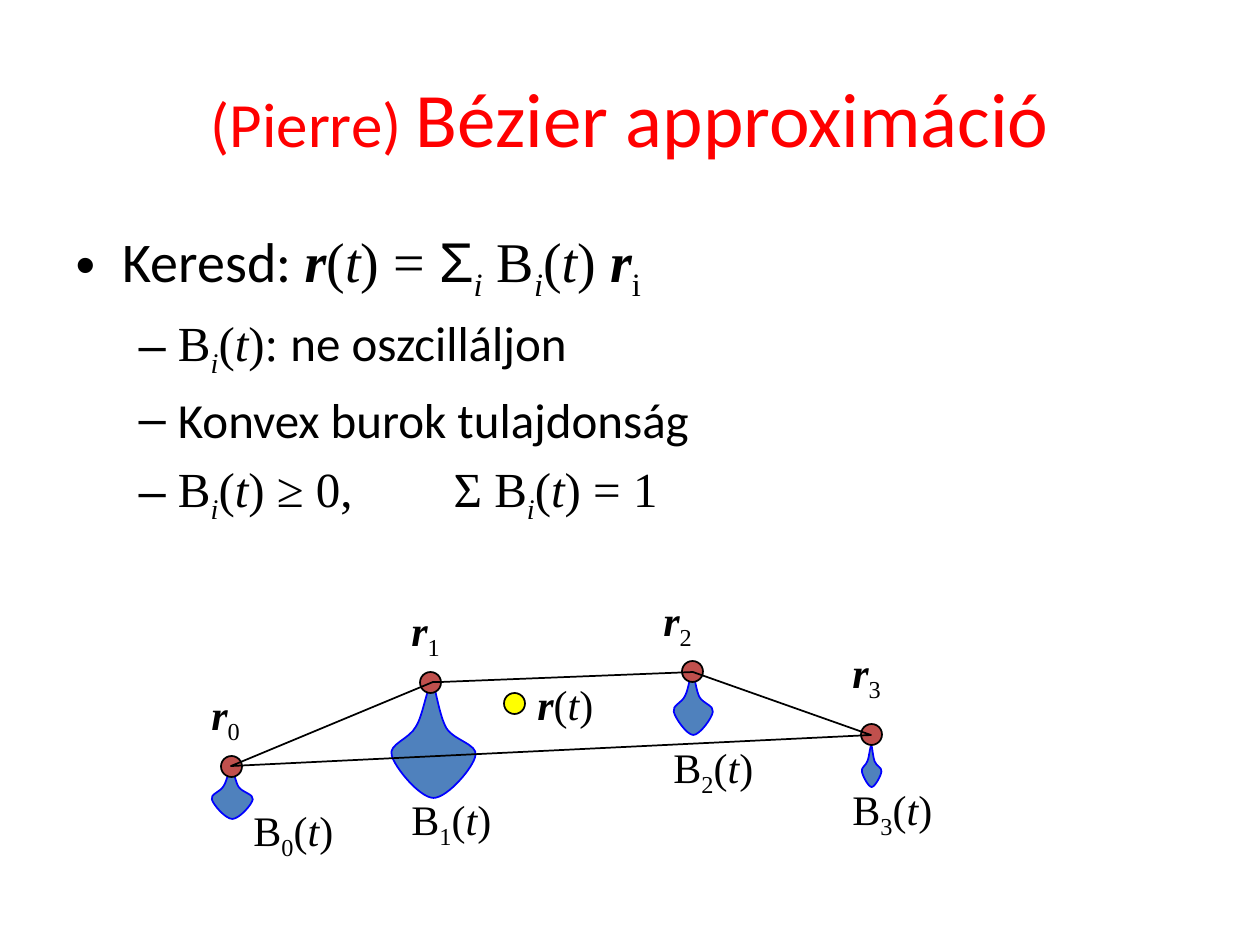
from lxml import etree
from pptx import Presentation
from pptx.dml.color import RGBColor
from pptx.enum.shapes import MSO_SHAPE
from pptx.enum.text import MSO_ANCHOR, MSO_AUTO_SIZE, PP_ALIGN
from pptx.oxml.ns import qn
from pptx.util import Pt

OVAL = MSO_SHAPE.OVAL
CENTER = PP_ALIGN.CENTER
MIDDLE = MSO_ANCHOR.MIDDLE
GROW, FIXED = MSO_AUTO_SIZE.SHAPE_TO_FIT_TEXT, MSO_AUTO_SIZE.NONE
PX = 914400 / 126
SANS, SERIF, SYMBOL = "Calibri", "Times New Roman", "Arial"
BLACK, RED, BLUE = "000000", "FF0000", "0000FF"

# Weight drop in thousandths of its box: a start, then three points per cubic
DROP = [
    (500, 0),
    (437, 0), (394, 283), (310, 380),
    (239, 489), (0, 533), (42, 630),
    (70, 728), (352, 1000), (507, 1000),
    (662, 1000), (958, 728), (972, 630),
    (1000, 533), (732, 500), (648, 391),
    (577, 293), (535, 76), (500, 0),
]


def px(value):
    return round(value * PX)


def color(code):
    return RGBColor.from_string(code)


def add_span(para, text, size, font=SERIF, code=BLACK, marks=""):
    """Add a run; marks holds b (bold), i (italic) and s (subscript)."""
    span = para.add_run()
    span.text = text
    span.font.name, span.font.size = font, Pt(size)
    span.font.color.rgb = color(code)
    span.font.bold, span.font.italic = "b" in marks, "i" in marks
    if "s" in marks:
        span.font._element.set("baseline", "-25000")


def of_t(tail=""):
    return [("(", ""), ("t", "i"), (")" + tail, "")]


def basis(index, marks="s", lead="", tail=""):
    """Spans of the basis function B_index(t)."""
    return [(lead + "B", ""), (index, marks), *of_t(tail)]


def any_basis(lead="", tail=""):
    return basis("i", "is", lead, tail)


class Page:
    label_size = 24
    dot_size = 21

    def __init__(self, deck):
        self.slide = deck.slides.add_slide(deck.slide_layouts[1])
        self.shapes = self.slide.shapes

    def place(self, box, left, top, width, height):
        box.left, box.top, box.width, box.height = map(px, (left, top, width, height))

    def paint(self, shape, line, fill=None):
        shape.shadow.inherit = False
        if fill:
            shape.fill.solid()
            shape.fill.fore_color.rgb = color(fill)
        else:
            shape.fill.background()
        shape.line.color.rgb = color(line)
        shape.line.width = Pt(1)

    def title(self, spans, *bounds):
        box = self.shapes.title
        self.place(box, *bounds)
        box.text_frame.vertical_anchor = MIDDLE
        para = box.text_frame.paragraphs[0]
        para.alignment = CENTER
        for text, size in spans:
            add_span(para, text, size, font=SANS, code=RED)

    def bullets(self, items, *bounds):
        box = self.slide.placeholders[1]
        self.place(box, *bounds)
        frame = box.text_frame
        frame.auto_size = FIXED
        for number, (level, spans) in enumerate(items):
            para = frame.add_paragraph() if number else frame.paragraphs[0]
            para.level = level
            # Tab stops one inch apart
            para._p.get_or_add_pPr().set("defTabSz", "914400")
            for text, marks, *font in spans:
                add_span(para, text, 28 if level else 32, *font, marks=marks)

    def outline(self, points, line, fill=None):
        (x, y), *rest = [(px(x), px(y)) for x, y in points]
        builder = self.shapes.build_freeform(x, y, scale=1.0)
        builder.add_line_segments(rest, close=True)
        shape = builder.convert_to_shape()
        self.paint(shape, line, fill)
        return shape

    def drop(self, left, top, width, height):
        points = [(left + x * width / 1000, top + y * height / 1000) for x, y in DROP]
        shape = self.outline(points, BLUE, "4F81BD")
        # Join every three line segments into one cubic curve
        segments = list(shape._element.iter(qn("a:lnTo")))[:len(DROP) - 1]
        for start in range(0, len(segments), 3):
            curve = etree.Element(qn("a:cubicBezTo"))
            segments[start].addprevious(curve)
            for segment in segments[start:start + 3]:
                curve.append(segment[0])
                segment.getparent().remove(segment)

    def dot(self, left, top, fill):
        size = px(self.dot_size)
        self.paint(self.shapes.add_shape(OVAL, px(left), px(top), size, size), BLACK, fill)

    def label(self, spans, left, top, width):
        box = self.shapes.add_textbox(px(left), px(top), px(width), px(63))
        frame = box.text_frame
        frame.word_wrap = False
        frame.auto_size = GROW
        for text, marks in spans:
            add_span(frame.paragraphs[0], text, self.label_size, marks=marks)


def main():
    deck = Presentation()
    deck.slide_width, deck.slide_height = px(1260), px(945)
    page = Page(deck)

    # Title and list
    page.title([("(Pierre) ", 36), ("Bézier approximáció", 44)], 63, 38, 1134, 157)
    page.bullets([
        (0, [("Keresd: ", "", SANS), ("r", "bi"), ("(", ""), ("t", "i"), (") = ", ""),
             ("Σ", "", SYMBOL), ("i", "is"), *any_basis(lead=" ", tail=" "),
             ("r", "bi"), ("i", "s")]),
        (1, [*any_basis(tail=": "), ("ne oszcilláljon", "", SANS)]),
        (1, [("Konvex burok tulajdonság", "", SANS)]),
        (1, [*any_basis(tail=" ≥ 0, \tΣ B"), *any_basis(tail=" = 1")[1:]]),
    ], 63, 220, 1134, 624)

    # Per control point: drop box, dot, point label, basis label
    controls = [
        ((210, 766, 44, 53), (221, 756), (199, 682), (241, 798)),
        ((388, 683, 90, 115), (420, 672), (399, 598), (399, 787)),
        ((672, 672, 42, 63), (682, 661), (651, 588), (661, 735)),
        ((861, 745, 21, 42), (861, 724), (840, 640), (840, 777)),
    ]
    for drop, *_ in controls:
        page.drop(*drop)
    page.dot(504, 693, "FFFF00")
    for index, (_, dot, point, weight) in enumerate(controls):
        page.dot(*dot, "C0504D")
        page.label([("r", "bi"), (str(index), "s")], *point, 55)
        page.label(basis(str(index)), *weight, 107)

    # Convex hull
    page.outline([(433, 682), (441, 682), (693, 672), (871, 735), (231, 766)], BLACK)

    # Curve point label
    page.label([("r", "bi"), *of_t()], 525, 672, 82)

    deck.save("out.pptx")


if __name__ == "__main__":
    main()
